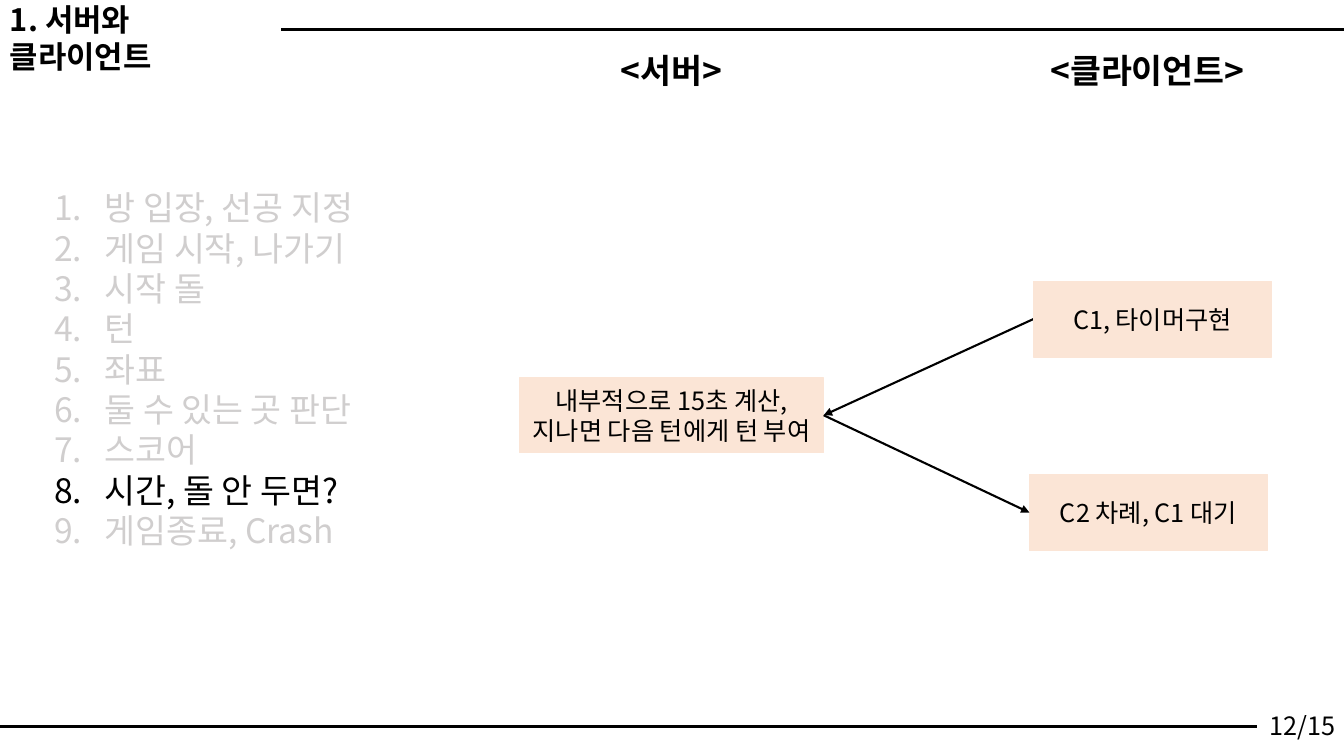
import dataclasses

import lxml.etree
import pptx
import pptx.dml.color
import pptx.enum.shapes
import pptx.enum.text
import pptx.oxml.ns
import pptx.util

Inches = pptx.util.Inches
ALIGN = pptx.enum.text.PP_ALIGN
ANCHOR = pptx.enum.text.MSO_ANCHOR


@dataclasses.dataclass(frozen=True)
class Theme:
    """Colours, typeface and type sizes of the deck."""

    typeface: str = "Noto Sans CJK KR"
    ink: str = "000000"
    muted: str = "D0CECE"
    paper: str = "FFFFFF"
    step: str = "FBE5D6"
    body: int = 18
    title: int = 22
    heading: int = 24


THEME = Theme()
WIDTH, HEIGHT = 13.33, 7.5
TOPICS = ["방 입장, 선공 지정", "게임 시작, 나가기", "시작 돌", "턴", "좌표",
          "둘 수 있는 곳 판단", "스코어", "시간, 돌 안 두면?", "게임종료, Crash"]
CURRENT_TOPIC = 7


def rgb(value):
    """Return a colour from its hex value."""
    return pptx.dml.color.RGBColor.from_string(value)


def add_xml(parent, tag, **attributes):
    """Append a DrawingML element to a parent."""
    return lxml.etree.SubElement(parent, pptx.oxml.ns.qn(tag), attributes)


def add_span(para, text, size, color=THEME.ink, bold=False):
    """Add one styled run to a paragraph."""
    span = para.add_run()
    span.text = text
    span.font.size = pptx.util.Pt(size)
    span.font.bold = bold
    span.font.color.rgb = rgb(color)
    span.font.name = THEME.typeface
    add_xml(span.font._element, "a:ea", typeface=THEME.typeface)


def fill_text(shape, lines, size, align, bold=False):
    """Write vertically centred lines into a shape."""
    frame = shape.text_frame
    frame.word_wrap = True
    frame.vertical_anchor = ANCHOR.MIDDLE
    for index, line in enumerate(lines):
        para = frame.add_paragraph() if index else frame.paragraphs[0]
        para.alignment = align
        add_span(para, line, size, bold=bold)


def add_block(page, box, lines, color, size=THEME.body, align=ALIGN.CENTER, bold=False):
    """Add a filled rectangle with text."""
    block = page.shapes.add_shape(
        pptx.enum.shapes.MSO_SHAPE.RECTANGLE, *map(Inches, box))
    block.shadow.inherit = False
    block.fill.solid()
    block.fill.fore_color.rgb = rgb(color)
    block.line.color.rgb = rgb(color)
    block.line.width = pptx.util.Pt(1)
    fill_text(block, lines, size, align, bold)


def add_line(page, start, end, width, arrow=False):
    """Add a straight line, with an arrowhead at its end if asked."""
    line = page.shapes.add_connector(
        pptx.enum.shapes.MSO_CONNECTOR.STRAIGHT, *map(Inches, (*start, *end)))
    line.line.color.rgb = rgb(THEME.ink)
    line.line.width = pptx.util.Pt(width)
    if arrow:
        add_xml(line.line._get_or_add_ln(), "a:tailEnd", type="triangle")
    add_xml(line._element.spPr, "a:effectLst")


def add_frame(page, box, title, number):
    """Draw the rules, page number and title around the page."""
    left, top, width, height = box
    right, bottom = left + width, top + height
    for y in (top + 0.29, bottom - 0.29):
        add_line(page, (left, y), (right, y), 2)
    add_block(page, (right - 0.86, bottom - 0.61, 0.87, 0.61), [number],
              THEME.paper, align=ALIGN.RIGHT)
    add_block(page, (left, top, 2.78, 0.74), [title], THEME.paper,
              THEME.title, ALIGN.LEFT, True)


def add_topics(page, box, topics, current):
    """List the numbered topics with the current one in ink."""
    frame = page.shapes.add_textbox(*map(Inches, box)).text_frame
    frame.word_wrap = True
    for index, topic in enumerate(topics):
        para = frame.add_paragraph() if index else frame.paragraphs[0]
        properties = para._p.get_or_add_pPr()
        properties.set("marL", str(Inches(0.5)))
        properties.set("indent", str(Inches(-0.5)))
        add_xml(properties, "a:buFont", typeface="+mj-lt")
        add_xml(properties, "a:buAutoNum", type="arabicPeriod")
        add_span(para, topic, THEME.heading,
                 THEME.ink if index == current else THEME.muted)


def add_flow(page, box):
    """Draw the exchange between server and clients."""
    left, top, width, height = box
    column = 3.02
    for x, heading in ((left, "<서버>"), (left + width - column, "<클라이언트>")):
        label = page.shapes.add_textbox(*map(Inches, (x, top, column, 0.74)))
        fill_text(label, [heading], THEME.heading, ALIGN.CENTER, True)
    server = (left, top + 3.42, column, 0.74)
    timer = (left + 5.1, top + 2.46, 2.36, 0.75)
    turn = (left + 5.06, top + 4.38, 2.36, 0.75)
    add_block(page, server, ["내부적으로 15초 계산,", "지나면 다음 턴에게 턴 부여"], THEME.step)
    add_block(page, turn, ["C2 차례, C1 대기"], THEME.step)
    hub = (left + column, server[1] + server[3] / 2)
    timer_side, turn_side = [(x, y + h / 2) for x, y, w, h in (timer, turn)]
    add_line(page, timer_side, hub, 1.5, True)
    add_line(page, hub, turn_side, 1.5, True)
    add_block(page, timer, ["C1, 타이머구현"], THEME.step)


def main():
    """Build and save the deck."""
    deck = pptx.Presentation()
    deck.slide_width, deck.slide_height = Inches(WIDTH), Inches(HEIGHT)
    page = deck.slides.add_slide(deck.slide_layouts[6])
    add_frame(page, (0, 0, WIDTH, HEIGHT), "1. 서버와 클라이언트", "12/15")
    add_topics(page, (0.44, 1.81, 4.67, 3.74), TOPICS, CURRENT_TOPIC)
    add_flow(page, (5.15, 0.33, 7.74, 5.13))
    deck.save("out.pptx")


if __name__ == "__main__":
    main()
